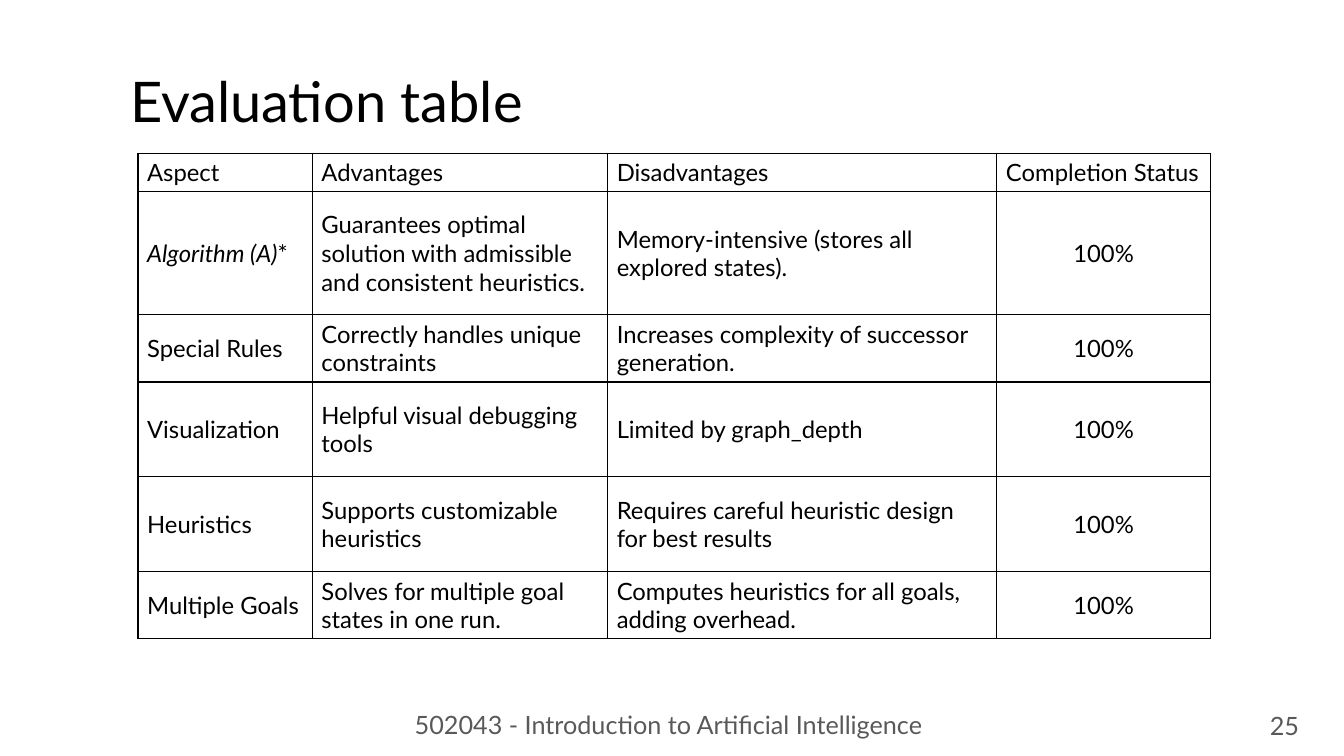
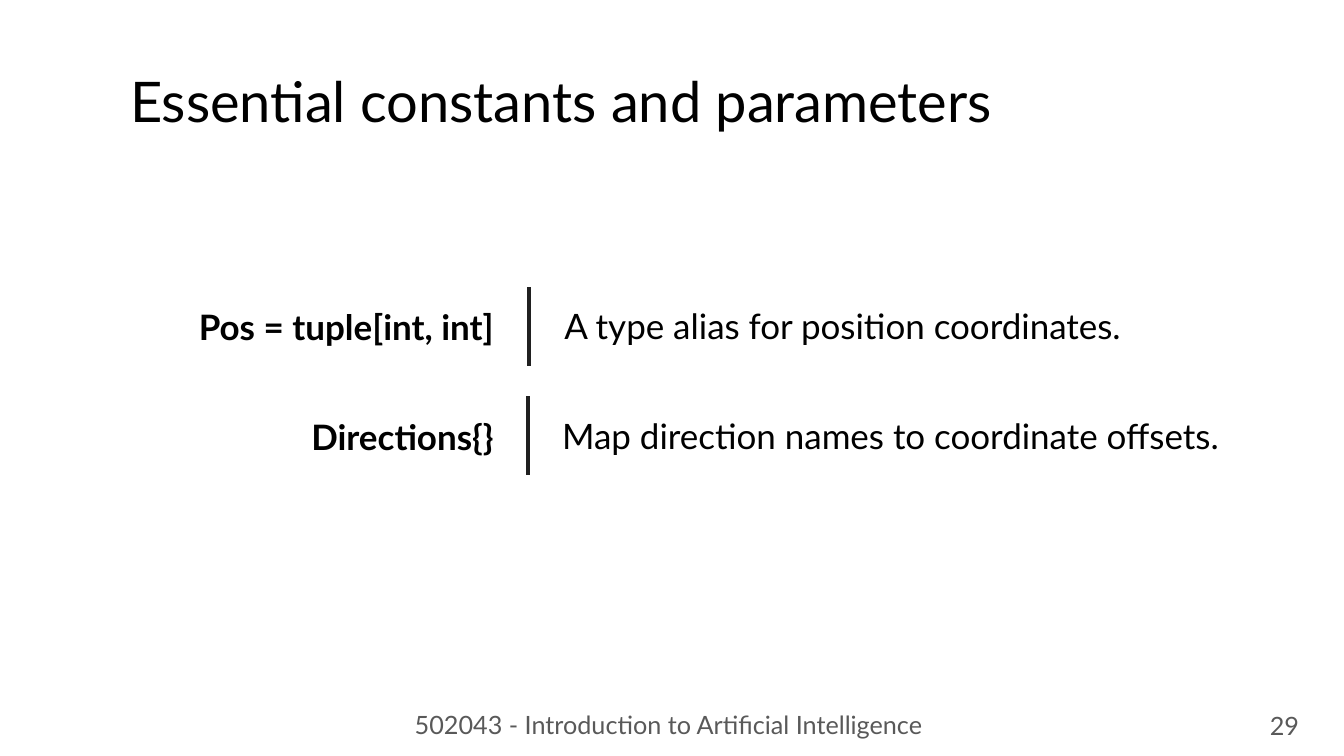
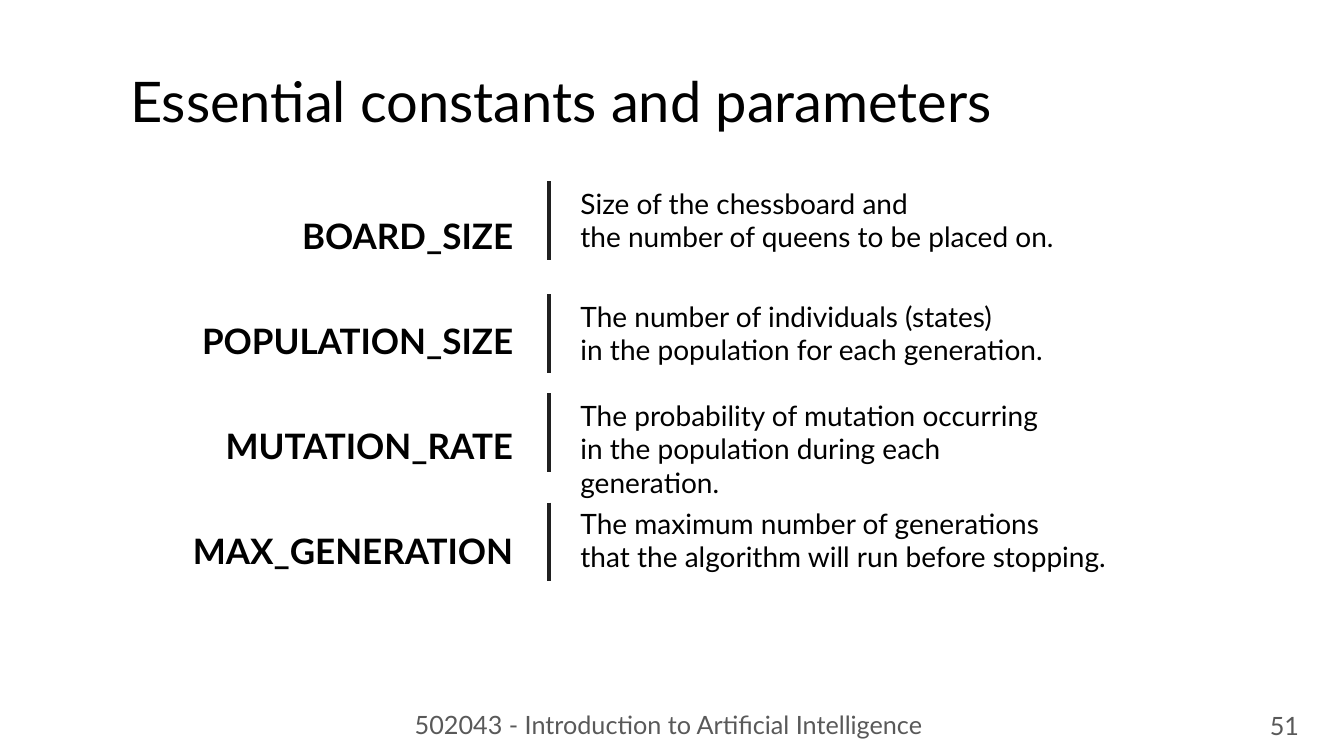
from dataclasses import dataclass

from lxml import etree
from pptx import Presentation
from pptx.dml.color import RGBColor
from pptx.enum.shapes import MSO_CONNECTOR
from pptx.enum.text import MSO_ANCHOR as Anchor, MSO_AUTO_SIZE as AutoSize, PP_ALIGN as Align
from pptx.oxml.ns import qn
from pptx.util import Pt

COLORS = {"text": "000000", "footer": "595959", "bar": "202020", "border": "000000", "cell": "FFFFFF"}
FONT = "Lato"
FOOTER = "502043 - Introduction to Artificial Intelligence"
TITLE_ONLY, TITLE_AND_BODY = 5, 1
BAR_LENGTH = 56

# Text formats
TITLE = {"size": Pt(40), "bold": False}
NAME = {"size": Pt(25), "bold": True}
MEANING = {"size": Pt(25)}
NOTE = {"size": Pt(20)}
CELL = {"size": Pt(17)}
SMALL = {"size": Pt(18)}


@dataclass
class Box:
    left: float
    top: float
    width: float
    height: float

    def emu(self) -> tuple:
        return Pt(self.left), Pt(self.top), Pt(self.width), Pt(self.height)


@dataclass
class Definition:
    """A vertical bar with the meaning of a constant to its right."""
    lines: list
    bar_x: float
    bar_top: float
    box: Box


def set_all(target, values: dict) -> None:
    for key, value in values.items():
        setattr(target, key, value)


def add_run(p, text: str, fmt: dict, color: str = "text") -> None:
    r = p.add_run()
    r.text = text
    set_all(r.font, {"name": FONT, **fmt})
    r.font.color.rgb = RGBColor.from_string(COLORS[color])


def write(tf, lines: list, fmt: dict, color: str = "text", align=Align.LEFT, anchor=Anchor.TOP) -> None:
    set_all(tf, {"word_wrap": True, "auto_size": AutoSize.NONE, "vertical_anchor": anchor})
    for i, line in enumerate(lines):
        p = tf.add_paragraph() if i else tf.paragraphs[0]
        p.alignment = align
        add_run(p, line, fmt, color)


def add_text(slide, box: Box, lines: list, fmt: dict, **layout) -> None:
    write(slide.shapes.add_textbox(*box.emu()).text_frame, lines, fmt, **layout)


def place(sp, box: Box) -> None:
    set_all(sp, dict(zip(("left", "top", "width", "height"), box.emu())))


def new_slide(prs, title: str, number: int, layout: int = TITLE_ONLY):
    """Start a slide with the shared title, footer and page number."""
    slide = prs.slides.add_slide(prs.slide_layouts[layout])
    sp = slide.shapes.title
    place(sp, Box(85.7, 43.9, 780, 55.4))
    write(sp.text_frame, [title], TITLE)
    for box, text in ((Box(262, 503.3, 431, 29), FOOTER), (Box(894, 504, 47, 29), str(number))):
        add_text(slide, box, [text], SMALL, color="footer", align=Align.CENTER)
    return slide


def add_definition(slide, d: Definition, fmt: dict) -> None:
    bar = slide.shapes.add_connector(
        MSO_CONNECTOR.STRAIGHT, Pt(d.bar_x), Pt(d.bar_top), Pt(d.bar_x), Pt(d.bar_top + BAR_LENGTH))
    bar.line.width = Pt(3)
    bar.line.color.rgb = RGBColor.from_string(COLORS["bar"])
    etree.SubElement(bar.line._get_or_add_ln().getparent(), qn("a:effectLst"))
    add_text(slide, d.box, d.lines, fmt)


def add_name_list(sp, box: Box, names: list) -> None:
    """Fill a body placeholder with unbulleted, widely spaced names."""
    place(sp, box)
    write(sp.text_frame, names, NAME, align=Align.RIGHT)
    for p in sp.text_frame.paragraphs:
        pPr = p._p.get_or_add_pPr()
        pPr.set("marL", "0")
        pPr.set("indent", "0")
        etree.SubElement(pPr, qn("a:buNone"))
        set_all(p, {"line_spacing": 2.5, "space_before": Pt(0)})


def set_borders(cell) -> None:
    tcPr = cell._tc.get_or_add_tcPr()
    for side in ("lnL", "lnR", "lnT", "lnB"):
        ln = etree.SubElement(tcPr, qn(f"a:{side}"), w=str(Pt(1)))
        fill = etree.SubElement(ln, qn("a:solidFill"))
        etree.SubElement(fill, qn("a:srgbClr"), val=COLORS["border"])


def add_grid(slide, left: float, top: float, widths: list, heights: list, rows: list) -> None:
    box = Box(left, top, sum(widths), sum(heights))
    table = slide.shapes.add_table(len(rows), len(widths), *box.emu()).table
    set_all(table, {"first_row": False, "horz_banding": False})
    for col, width in zip(table.columns, widths):
        col.width = Pt(width)
    margins = {"margin_left": Pt(6.5), "margin_right": Pt(6.5), "margin_top": Pt(3.6), "margin_bottom": Pt(3.6)}
    for i, row in enumerate(rows):
        table.rows[i].height = Pt(heights[i])
        for j, text in enumerate(row):
            cell = table.cell(i, j)
            set_all(cell, {"vertical_anchor": Anchor.MIDDLE, **margins})
            set_borders(cell)
            cell.fill.solid()
            cell.fill.fore_color.rgb = RGBColor.from_string(COLORS["cell"])
            p = cell.text_frame.paragraphs[0]
            p.alignment = Align.CENTER if i and j == len(row) - 1 else Align.LEFT
            # A trailing asterisk stands upright after an italic label
            if text.endswith("*"):
                add_run(p, text[:-1], {**CELL, "italic": True})
                text = "*"
            add_run(p, text, CELL)


EVALUATION = [
    ("Aspect", "Advantages", "Disadvantages", "Completion Status"),
    ("Algorithm (A)*", "Guarantees optimal solution with admissible and consistent heuristics.",
     "Memory-intensive (stores all explored states).", "100%"),
    ("Special Rules", "Correctly handles unique constraints",
     "Increases complexity of successor generation.", "100%"),
    ("Visualization", "Helpful visual debugging tools", "Limited by graph_depth", "100%"),
    ("Heuristics", "Supports customizable heuristics",
     "Requires careful heuristic design for best results", "100%"),
    ("Multiple Goals", "Solves for multiple goal states in one run.",
     "Computes heuristics for all goals, adding overhead.", "100%"),
]

TYPES = {
    "Pos = tuple[int, int]": Definition(
        ["A type alias for position coordinates."], 378, 205.2, Box(396, 213.8, 500, 37.4)),
    "Directions{}": Definition(
        ["Map direction names to coordinate offsets."], 377.3, 283, Box(394.5, 292.3, 500, 37.4)),
}


def setting(lines: list, bar_top: float, text_top: float, width: float = 400) -> Definition:
    return Definition(lines, 392.4, bar_top, Box(407.5, text_top, width, 55.4))


SETTINGS = {
    "BOARD_SIZE": setting(
        ["Size of the chessboard and", "the number of queens to be placed on."], 129.5, 129.5),
    "POPULATION_SIZE": setting(
        ["The number of individuals (states)", "in the population for each generation."], 210.2, 210.2),
    "MUTATION_RATE": setting(
        ["The probability of mutation occurring", "in the population during each generation."],
        281, 281, width=360),
    "MAX_GENERATION": setting(
        ["The maximum number of generations", "that the algorithm will run before stopping."], 359, 358),
}


def main() -> None:
    prs = Presentation()
    set_all(prs, {"slide_width": Pt(960), "slide_height": Pt(540)})

    # Evaluation table
    slide = new_slide(prs, "Evaluation table", 25)
    add_grid(slide, 98.6, 109.4, [124.5, 211, 278, 152.5], [27.4, 87.8, 47.5, 67.7, 67.7, 47.5], EVALUATION)

    # Type definitions
    slide = new_slide(prs, "Essential constants and parameters", 29)
    for name, d in TYPES.items():
        add_definition(slide, d, MEANING)
        add_text(slide, Box(120, d.box.top + 0.5, 239.6, 37.4), [name], NAME,
                 align=Align.RIGHT, anchor=Anchor.MIDDLE)

    # Algorithm settings
    slide = new_slide(prs, "Essential constants and parameters", 51, TITLE_AND_BODY)
    add_name_list(slide.placeholders[1], Box(113.7, 104.4, 260, 310.3), list(SETTINGS))
    for d in SETTINGS.values():
        add_definition(slide, d, NOTE)

    prs.save("out.pptx")


if __name__ == "__main__":
    main()
